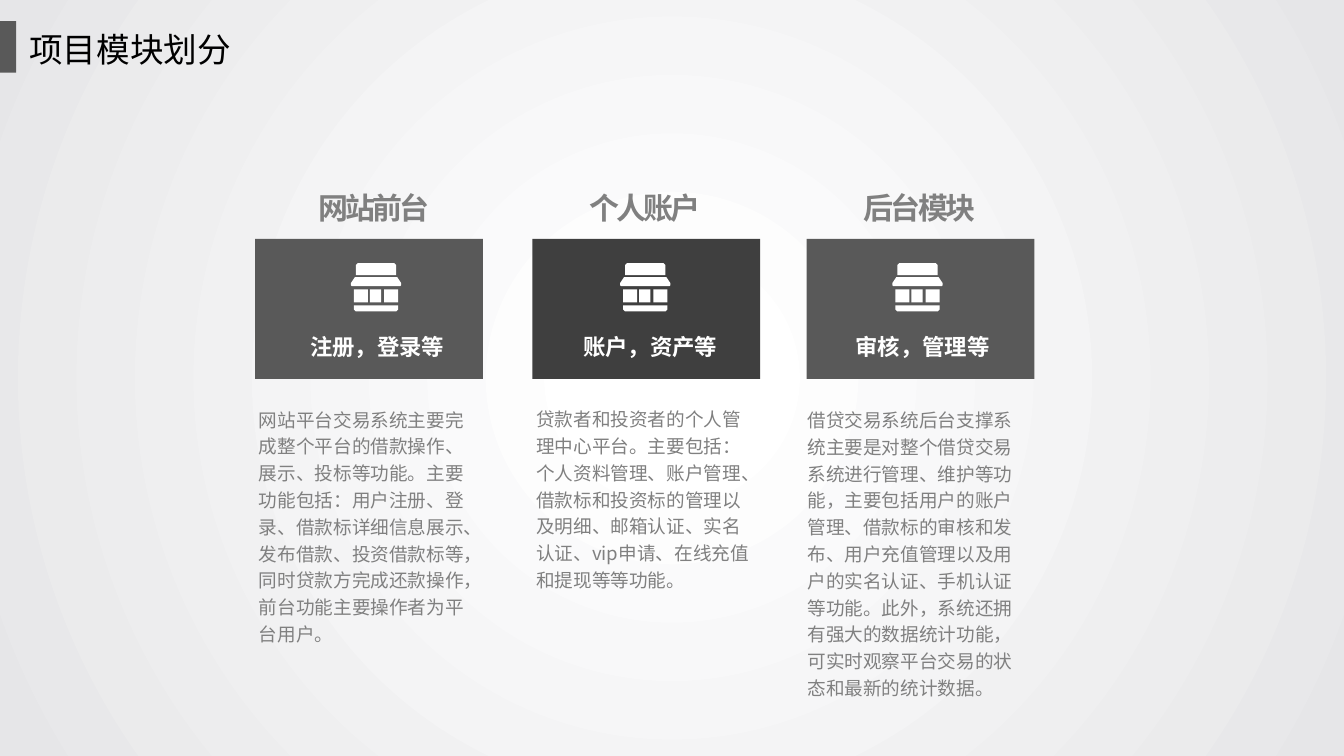
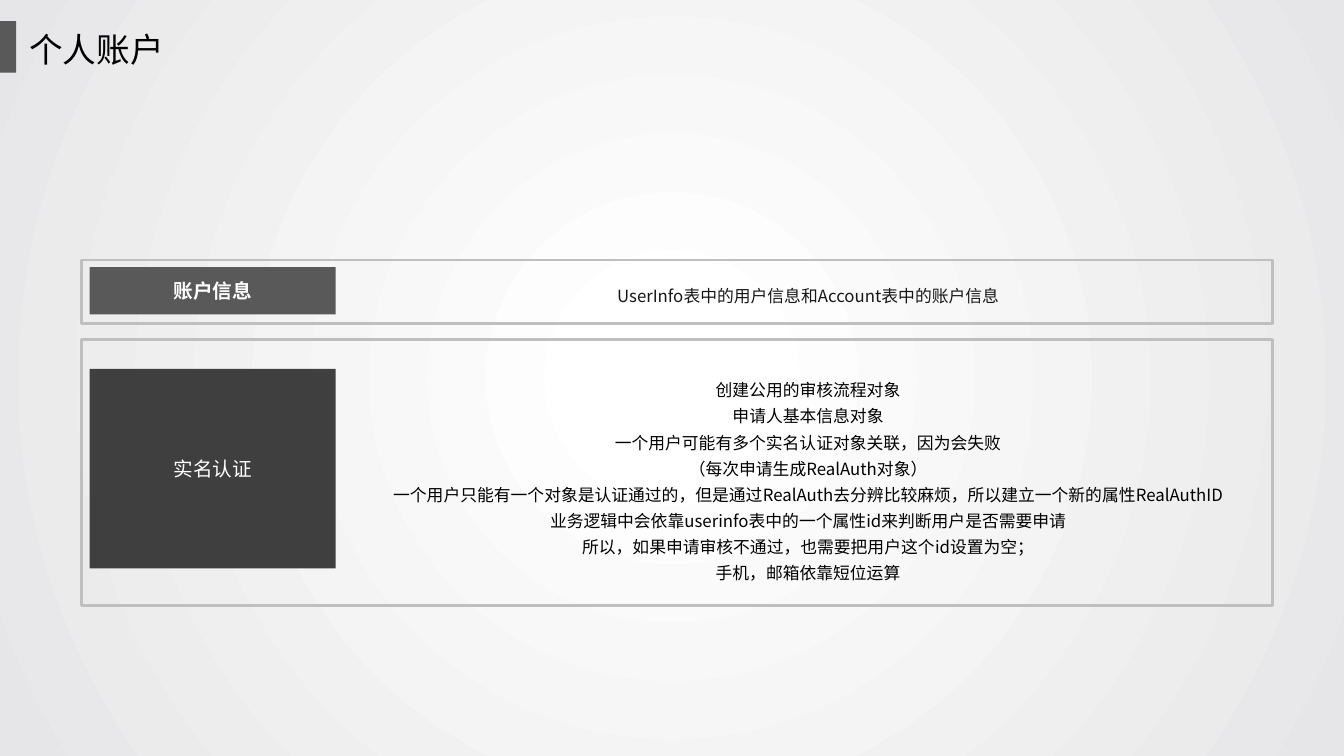
from dataclasses import dataclass

from lxml import etree
from pptx import Presentation
from pptx.dml.color import RGBColor
from pptx.enum import shapes, text
from pptx.oxml.ns import qn
from pptx.util import Inches, Pt

FONT = "Noto Sans CJK SC"
GRAY, DARK, MUTED, BORDER = "595959", "3F3F3F", "808080", "BFBFBF"
WHITE, BLACK, INK = "FFFFFF", "000000", "181717"
LEFT, CENTER = text.PP_ALIGN.LEFT, text.PP_ALIGN.CENTER
TOP, MIDDLE = text.MSO_ANCHOR.TOP, text.MSO_ANCHOR.MIDDLE

# Shop icon outlines, in hundredths of an inch
PANES = [[(x, 26), (x + w, 26), (x + w, 39), (x, 39)]
         for x, w in ((3, 14), (19, 11), (33, 14))]
SHOP = [
    [(3, 42), (47, 42), (47, 46), (45, 48), (5, 48), (3, 46)],
    *PANES,
    [(4, 14), (46, 14), (50, 20), (50, 22), (49, 23), (1, 23), (0, 22), (0, 20)],
    [(7, 0), (43, 0), (45, 2), (45, 12), (5, 12), (5, 2)],
]


@dataclass
class Style:
    size: float
    color: str
    bold: bool = False
    align: text.PP_ALIGN = CENTER
    spacing: float = 1.0
    tracking: int = 0  # hundredths of a point


@dataclass
class Module:
    heading: str
    caption: str
    body: str
    fill: str
    card_x: float
    heading_x: float
    caption_x: float
    icon_x: float
    body_x: float
    body_h: float


@dataclass
class Panel:
    label: str
    lines: list[str]
    fill: str
    ink: str
    bold: bool
    top: float
    height: float
    label_top: float
    label_h: float
    text_top: float
    text_h: float


TITLE = Style(24, BLACK, align=LEFT)
HEADING = Style(21.4, MUTED, bold=True, tracking=-200)
CAPTION = Style(16, WHITE, bold=True)
BODY = Style(13.3, MUTED, align=LEFT, spacing=1.2)

MODULES = [
    Module("网站前台", "注册，登录等",
           "网站平台交易系统主要完成整个平台的借款操作、展示、投标等功能。主要功能包括："
           "用户注册、登录、借款标详细信息展示、发布借款、投资借款标等，"
           "同时贷款方完成还款操作，前台功能主要操作者为平台用户。",
           GRAY, 2.53, 2.59, 2.65, 3.48, 2.47, 2.53),
    Module("个人账户", "账户，资产等",
           "贷款者和投资者的个人管理中心平台。主要包括：个人资料管理、账户管理、"
           "借款标和投资标的管理以及明细、邮箱认证、实名认证、vip申请、"
           "在线充值和提现等等功能。",
           DARK, 5.28, 5.28, 5.36, 6.15, 5.22, 1.99),
    Module("后台模块", "审核，管理等",
           "借贷交易系统后台支撑系统主要是对整个借贷交易系统进行管理、维护等功能，"
           "主要包括用户的账户管理、借款标的审核和发布、用户充值管理以及"
           "用户的实名认证、手机认证等功能。此外，系统还拥有强大的数据统计功能，"
           "可实时观察平台交易的状态和最新的统计数据。",
           GRAY, 8, 8, 8.06, 8.85, 7.91, 3.07),
]

PANELS = [
    Panel("账户信息", ["UserInfo表中的用户信息和Account表中的账户信息"],
          GRAY, INK, True, 2.58, 0.63, 2.65, 0.47, 2.73, 0.36),
    Panel("实名认证",
          ["创建公用的审核流程对象",
           "申请人基本信息对象",
           "一个用户可能有多个实名认证对象关联，因为会失败",
           "（每次申请生成RealAuth对象）",
           "一个用户只能有一个对象是认证通过的，但是通过RealAuth去分辨比较麻烦，"
           "所以建立一个新的属性RealAuthID",
           "业务逻辑中会依靠userinfo表中的一个属性id来判断用户是否需要申请",
           "所以，如果申请审核不通过，也需要把用户这个id设置为空；",
           "手机，邮箱依靠短位运算"],
          DARK, BLACK, False, 3.37, 2.64, 3.66, 1.98, 3.66, 2.2),
]


def rgb(color: str) -> RGBColor:
    return RGBColor.from_string(color)


def write(sp, lines: list[str], style: Style, anchor=TOP, wrap: bool = True) -> None:
    """Fill a shape with one paragraph per line."""
    tf = sp.text_frame
    tf.word_wrap = wrap
    tf.auto_size = text.MSO_AUTO_SIZE.NONE
    tf.vertical_anchor = anchor
    for i, line in enumerate(lines):
        p = tf.paragraphs[0] if i == 0 else tf.add_paragraph()
        p.alignment = style.align
        p.line_spacing = style.spacing
        r = p.add_run()
        r.text = line
        r.font.size = Pt(style.size)
        r.font.bold = style.bold
        r.font.color.rgb = rgb(style.color)
        r.font.name = FONT
        rpr = r.font._element
        etree.SubElement(rpr, qn("a:ea"), typeface=FONT)
        if style.tracking:
            rpr.set("spc", str(style.tracking))


def add_text(parent, x: float, y: float, w: float, h: float,
             lines: list[str], style: Style, anchor=TOP):
    sp = parent.add_textbox(Inches(x), Inches(y), Inches(w), Inches(h))
    write(sp, lines, style, anchor)
    return sp


def add_rect(parent, x: float, y: float, w: float, h: float,
             fill: str = "", line: str = ""):
    sp = parent.add_shape(shapes.MSO_SHAPE.RECTANGLE,
                          Inches(x), Inches(y), Inches(w), Inches(h))
    sp.shadow.inherit = False
    if fill:
        sp.fill.solid()
        sp.fill.fore_color.rgb = rgb(fill)
    else:
        sp.fill.background()
    if line:
        sp.line.color.rgb = rgb(line)
        sp.line.width = Pt(2)
    else:
        sp.line.fill.background()
    return sp


def add_shop(parent, x: float, y: float) -> None:
    fb = parent.build_freeform(*SHOP[0][0], scale=Inches(0.01))
    for i, outline in enumerate(SHOP):
        if i:
            fb.move_to(*outline[0])
        fb.add_line_segments(outline[1:], close=True)
    sp = fb.convert_to_shape(Inches(x), Inches(y))
    sp.shadow.inherit = False
    sp.fill.solid()
    sp.fill.fore_color.rgb = rgb(WHITE)
    sp.line.fill.background()


def set_background(master) -> None:
    """Radial gradient, white in the middle, shared by all slides."""
    fill = master.background.fill
    fill.gradient()
    for stop, pos, color in zip(fill.gradient_stops, (0.09, 1), (WHITE, "E6E6E8")):
        stop.position = pos
        stop.color.rgb = rgb(color)
    lin = master.element.find(".//" + qn("a:lin"))
    circle = etree.Element(qn("a:path"), path="circle")
    etree.SubElement(circle, qn("a:fillToRect"),
                     {side: "50000" for side in "ltrb"})
    lin.getparent().replace(lin, circle)


def add_slide(prs, title: str):
    s = prs.slides.add_slide(prs.slide_layouts[5])
    sp = s.shapes.title
    sp.left, sp.top = Inches(0.19), Inches(0.24)
    sp.width, sp.height = Inches(2.89), Inches(0.5)
    write(sp, [title], TITLE)
    add_rect(s.shapes, 0, 0.21, 0.16, 0.51, GRAY)
    return s


def add_module(s, m: Module) -> None:
    g = s.shapes.add_group_shape().shapes
    add_rect(g, m.card_x, 2.37, 2.26, 1.39, m.fill)
    add_text(g, m.body_x, 3.94, 2.36, m.body_h, [m.body], BODY, MIDDLE)
    add_text(g, m.heading_x, 1.83, 2.24, 0.45, [m.heading], HEADING, MIDDLE)
    add_text(g, m.caption_x, 3.24, 2.18, 0.4, [m.caption], CAPTION, MIDDLE)
    add_shop(g, m.icon_x, 2.61)


def add_panel(s, pn: Panel) -> None:
    g = s.shapes.add_group_shape().shapes
    add_rect(g, 0.81, pn.top, 11.81, pn.height, line=BORDER)
    add_text(g, 3.41, pn.text_top, 9.21, pn.text_h, pn.lines,
             Style(12, pn.ink, spacing=1.3))
    label = add_rect(g, 0.89, pn.label_top, 2.44, pn.label_h, pn.fill)
    write(label, [pn.label], Style(14, WHITE, pn.bold), MIDDLE, wrap=False)


def main() -> None:
    prs = Presentation()
    prs.slide_width, prs.slide_height = Inches(13.33), Inches(7.5)
    set_background(prs.slide_master)

    # Project modules
    s = add_slide(prs, "项目模块划分")
    for m in MODULES:
        add_module(s, m)

    # Personal account
    s = add_slide(prs, "个人账户")
    for pn in PANELS:
        add_panel(s, pn)

    prs.save("out.pptx")


if __name__ == "__main__":
    main()
